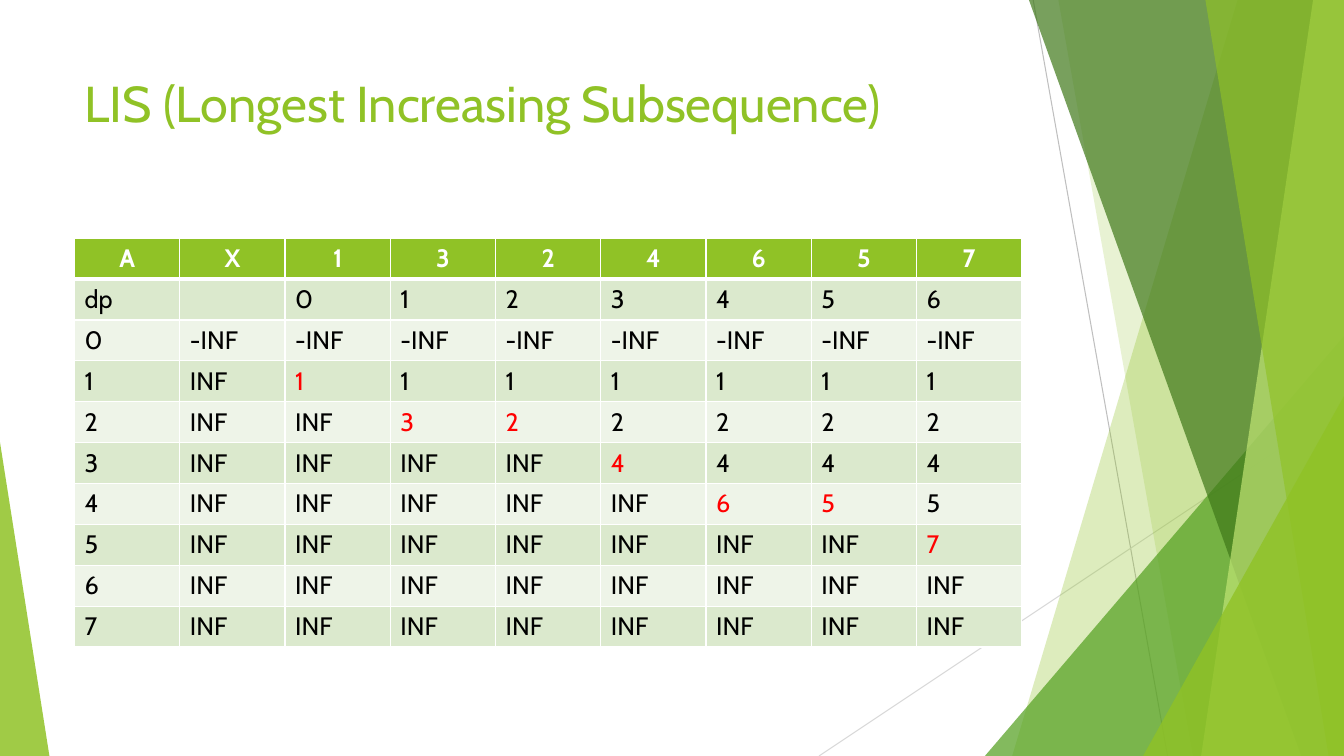
from lxml import etree
from pptx import Presentation
from pptx.dml.color import RGBColor
from pptx.enum.shapes import MSO_CONNECTOR, MSO_SHAPE
from pptx.enum.text import MSO_ANCHOR, PP_ALIGN
from pptx.oxml.ns import qn
from pptx.util import Pt

STRAIGHT = MSO_CONNECTOR.STRAIGHT
TRIANGLE = MSO_SHAPE.ISOSCELES_TRIANGLE
TOP = MSO_ANCHOR.TOP
CENTER = PP_ALIGN.CENTER
LEFT = PP_ALIGN.LEFT

WIDTH, HEIGHT = 960, 540
FONT = "Cabin"
GREEN, WHITE, BLACK, RED = "90C226", "FFFFFF", "000000", "FF0000"
BANDS = ["DBE9CD", "EEF4E8"]

TITLE = "LIS (Longest Increasing Subsequence)"
ROWS = [
    ["A", "X", "1", "3", "2", "4", "6", "5", "7"],
    ["dp", "", "0", "1", "2", "3", "4", "5", "6"],
    ["0"] + ["-INF"] * 8,
    ["1", "INF"] + ["1"] * 7,
    ["2", "INF", "INF", "3"] + ["2"] * 5,
    ["3"] + ["INF"] * 4 + ["4"] * 4,
    ["4"] + ["INF"] * 5 + ["6", "5", "5"],
    ["5"] + ["INF"] * 7 + ["7"],
    ["6"] + ["INF"] * 8,
    ["7"] + ["INF"] * 8,
]
FIRST_UPDATE_ROW = 3
TABLE_LEFT, TABLE_TOP, TABLE_WIDTH, TABLE_HEIGHT = 53.3, 170.2, 676.8, 292

LINES = [
    ((738, 0), (834, 540), "BFBFBF"),
    ((960, 290), (585, 540), "D9D9D9"),
]
SHARDS = [
    ("band", 884, 723, GREEN, 30),
    ("band", 756, 852, GREEN, 20),
    ("triangle", 703.5, 240, 256.5, 1, "54A021", 72),
    ("band", 735, 929.5, "3F7819", 70),
    ("band", 938, 858, "C0E474", 70),
    ("band", 861, 949, GREEN, 65),
    ("triangle", 816.5, 283, 143.5, 1, GREEN, 80),
    ("triangle", 0, 316, 35.3, 0, GREEN, 85),
]


def color(value):
    return RGBColor.from_string(value)


def paint(shape, value, opacity):
    shape.shadow.inherit = False
    shape.fill.solid()
    shape.fill.fore_color.rgb = color(value)
    shape.line.fill.background()
    tint = shape.fill._xPr.find(qn("a:solidFill"))[0]
    etree.SubElement(tint, qn("a:alpha"), val=str(opacity * 1000))


def add_band(page, top_x, bottom_x, value, opacity):
    builder = page.shapes.build_freeform(Pt(top_x), 0)
    corners = [(WIDTH, 0), (WIDTH, HEIGHT), (bottom_x, HEIGHT)]
    builder.add_line_segments([(Pt(x), Pt(y)) for x, y in corners], close=True)
    paint(builder.convert_to_shape(), value, opacity)


def add_triangle(page, left, top, width, apex, value, opacity):
    shape = page.shapes.add_shape(
        TRIANGLE, Pt(left), Pt(top), Pt(width), Pt(HEIGHT - top))
    shape.adjustments[0] = apex
    paint(shape, value, opacity)


def add_line(page, start, end, value):
    line = page.shapes.add_connector(STRAIGHT, *[Pt(n) for n in start + end])
    line.line.color.rgb = color(value)
    line.line.width = Pt(0.75)
    etree.SubElement(line._element.spPr, qn("a:effectLst"))


def format_text(para, size, value, bold=False):
    for span in para.runs:
        span.font.name = FONT
        span.font.size = Pt(size)
        span.font.bold = bold
        span.font.color.rgb = color(value)


def add_borders(cell, row):
    widths = {"L": 1, "R": 1, "T": 3 if row == 1 else 1, "B": 3 if row == 0 else 1}
    properties = cell._tc.get_or_add_tcPr()
    for side, width in widths.items():
        border = etree.SubElement(properties, qn("a:ln" + side), w=str(Pt(width)))
        fill = etree.SubElement(border, qn("a:solidFill"))
        etree.SubElement(fill, qn("a:srgbClr"), val=WHITE)


def add_title(page):
    box = page.shapes.add_textbox(Pt(53.3), Pt(48), Pt(676.8), Pt(104))
    box.text_frame.word_wrap = True
    box.text_frame.vertical_anchor = TOP
    box.text_frame.text = TITLE
    format_text(box.text_frame.paragraphs[0], 36, GREEN)


def add_grid(page):
    header = ROWS[0]
    table = page.shapes.add_table(
        len(ROWS), len(header), Pt(TABLE_LEFT), Pt(TABLE_TOP),
        Pt(TABLE_WIDTH), Pt(TABLE_HEIGHT)).table
    for r, values in enumerate(ROWS):
        for c, value in enumerate(values):
            cell = table.cell(r, c)
            add_borders(cell, r)
            cell.fill.solid()
            cell.fill.fore_color.rgb = color(BANDS[(r - 1) % 2] if r else GREEN)
            cell.text_frame.text = value
            para = cell.text_frame.paragraphs[0]
            para.alignment = LEFT if r else CENTER
            updated = r >= FIRST_UPDATE_ROW and value == header[c]
            ink = RED if updated else BLACK
            format_text(para, 18, ink if r else WHITE, bold=r == 0)


def main():
    deck = Presentation()
    deck.slide_width, deck.slide_height = Pt(WIDTH), Pt(HEIGHT)
    page = deck.slides.add_slide(deck.slide_layouts[6])
    for line in LINES:
        add_line(page, *line)
    for kind, *shard in SHARDS:
        draw = add_band if kind == "band" else add_triangle
        draw(page, *shard)
    add_title(page)
    add_grid(page)
    deck.save("out.pptx")


if __name__ == "__main__":
    main()
